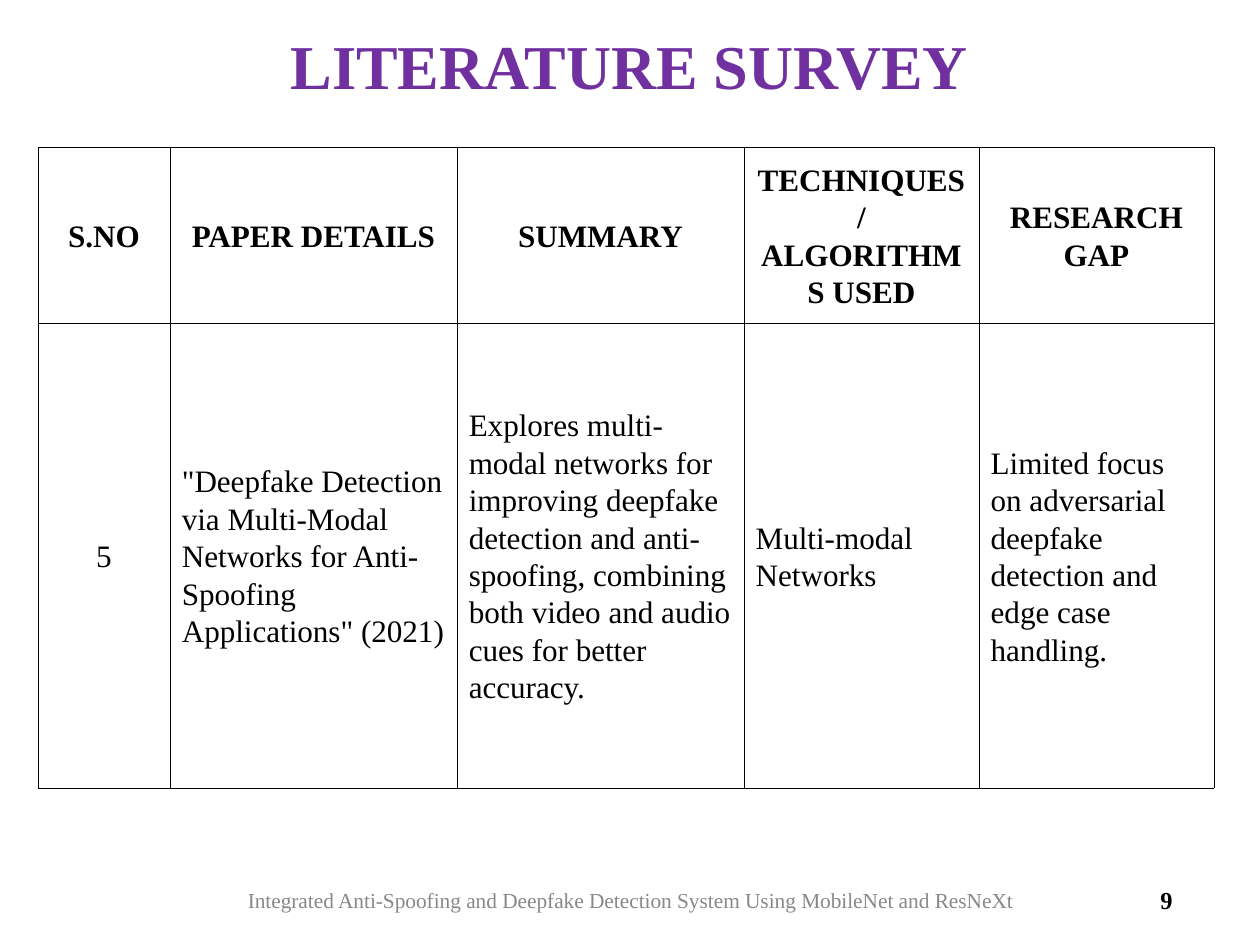
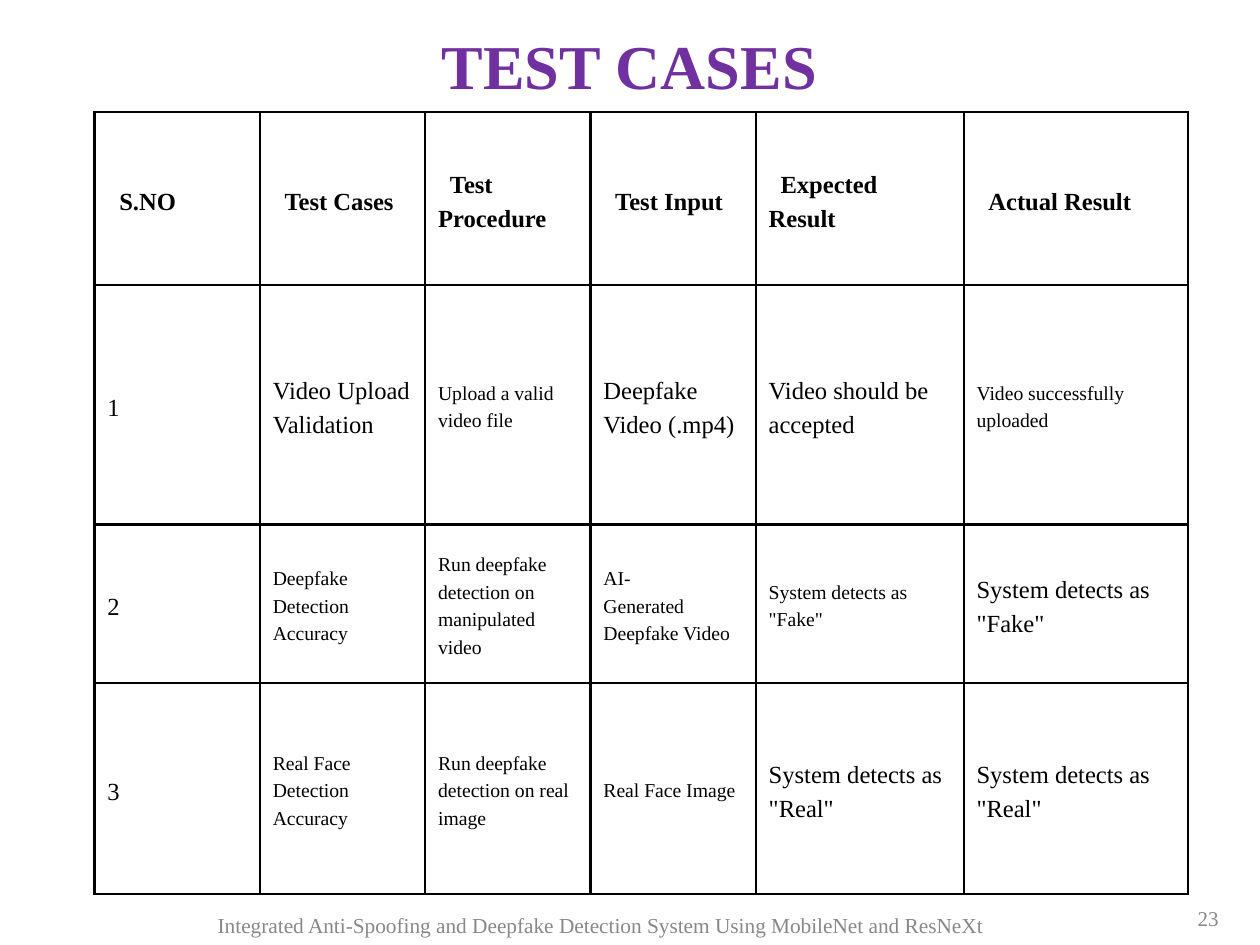
from lxml import etree
from pptx import Presentation
from pptx.dml.color import RGBColor
from pptx.enum.text import MSO_ANCHOR as ANCHOR, PP_ALIGN as ALIGN
from pptx.oxml.ns import qn
from pptx.util import Inches, Pt

COLORS = {"title": "7030A0", "text": "000000", "muted": "888888"}
FONT = "Times New Roman"
TITLE_BOX = (0.73, 0.16, 9.2, 0.83)
FOOTER = ("Integrated Anti-Spoofing and Deepfake Detection System "
          "Using MobileNet and ResNeXt")

SURVEY_HEADERS = ["S.NO", "PAPER DETAILS", "SUMMARY",
                  "TECHNIQUES/ALGORITHMS USED", "RESEARCH GAP"]
SURVEY_PAPER = [
    "5",
    '"Deepfake Detection via Multi-Modal Networks for Anti-Spoofing '
    'Applications" (2021)',
    "Explores multi-modal networks for improving deepfake detection and "
    "anti-spoofing, combining both video and audio cues for better accuracy.",
    "Multi-modal Networks",
    "Limited focus on adversarial deepfake detection and edge case handling.",
]

TEST_HEADERS = ["S.NO", "Test Cases", "Test Procedure", "Test Input",
                "Expected Result", "Actual Result"]
LARGE, SMALL = 15, 12
TEST_ROWS = [
    [("1", LARGE), ("Video Upload Validation", LARGE),
     ("Upload a valid video file", SMALL), ("Deepfake Video (.mp4)", LARGE),
     ("Video should be accepted", LARGE),
     ("Video successfully uploaded", SMALL)],
    [("2", LARGE), ("Deepfake Detection Accuracy", SMALL),
     ("Run deepfake detection on manipulated video", SMALL),
     ("AI-\nGenerated Deepfake Video", SMALL),
     ('System detects as "Fake"', SMALL),
     ('System detects as "Fake"', LARGE)],
    [("3", LARGE), ("Real Face Detection Accuracy", SMALL),
     ("Run deepfake detection on real image", SMALL),
     ("Real Face Image", SMALL), ('System detects as "Real"', LARGE),
     ('System detects as "Real"', LARGE)],
]


def write(tf, text, size, color="text", bold=False, align=ALIGN.LEFT,
          spacing=1.2, indent=0):
    """Fill a text frame, one paragraph per line; spacing is a multiple of size."""
    tf.word_wrap = True
    for i, line in enumerate(text.split("\n")):
        p = tf.add_paragraph() if i else tf.paragraphs[0]
        p.alignment = align
        p.line_spacing = Pt(round(size * spacing, 1))
        if indent:
            p._p.get_or_add_pPr().set("indent", str(Inches(indent)))
        r = p.add_run()
        r.text = line
        r.font.name = FONT
        r.font.size = Pt(size)
        r.font.bold = bold
        r.font.color.rgb = RGBColor.from_string(COLORS[color])


def add_text(s, box, text, size, **fmt):
    tf = s.shapes.add_textbox(*map(Inches, box)).text_frame
    tf.margin_left = tf.margin_right = tf.margin_top = tf.margin_bottom = 0
    tf.vertical_anchor = ANCHOR.MIDDLE
    write(tf, text, size, **fmt)


def set_borders(cell, width):
    tc_pr = cell._tc.get_or_add_tcPr()
    for i, side in enumerate(("lnL", "lnR", "lnT", "lnB")):
        ln = etree.Element(qn(f"a:{side}"), w=str(Pt(width)))
        fill = etree.SubElement(ln, qn("a:solidFill"))
        etree.SubElement(fill, qn("a:srgbClr"), val=COLORS["text"])
        tc_pr.insert(i, ln)


def add_grid(s, left, top, cols, rows, margin, border):
    """Add an unfilled, ruled table and return it."""
    frame = s.shapes.add_table(len(rows), len(cols), Inches(left), Inches(top),
                               Inches(sum(cols)), Inches(sum(rows)))
    table = frame.table
    table.first_row = table.horz_banding = False
    for col, width in zip(table.columns, cols):
        col.width = Inches(width)
    for row, height in zip(table.rows, rows):
        row.height = Inches(height)
    for cell in table.iter_cells():
        cell.fill.background()
        cell.vertical_anchor = ANCHOR.MIDDLE
        cell.margin_left = cell.margin_right = Inches(margin)
        cell.margin_top = cell.margin_bottom = Inches(margin)
        set_borders(cell, border)
    return table


def add_slide(prs, title, footer_box):
    s = prs.slides.add_slide(prs.slide_layouts[6])
    add_text(s, TITLE_BOX, title, 38, color="title", bold=True,
             align=ALIGN.CENTER, spacing=1.08)
    add_text(s, footer_box, FOOTER, 13, color="muted", align=ALIGN.CENTER)
    return s


def survey_slide(prs):
    s = add_slide(prs, "LITERATURE SURVEY", (1.35, 7.39, 7.97, 0.45))
    add_text(s, (7.53, 7.39, 2.4, 0.45), "9", 14.9, bold=True,
             align=ALIGN.RIGHT)
    table = add_grid(s, 0.32, 1.25, [1.12, 2.43, 2.43, 1.99, 1.99],
                     [1.49, 3.93], margin=0.1, border=0.37)
    for c, (header, entry) in enumerate(zip(SURVEY_HEADERS, SURVEY_PAPER)):
        write(table.cell(0, c).text_frame, header, 19, bold=True,
              align=ALIGN.CENTER)
        write(table.cell(1, c).text_frame, entry, 19,
              align=ALIGN.LEFT if c else ALIGN.CENTER)


def test_cases_slide(prs):
    s = add_slide(prs, "TEST CASES", (1.04, 7.41, 8.08, 0.84))
    add_text(s, (7.92, 7.55, 2.4, 0.45), "23", 12.8, color="muted",
             align=ALIGN.RIGHT)
    table = add_grid(s, 0.8, 0.95, [1.4] * 4 + [1.76, 1.9],
                     [1.46, 2.03, 1.34, 1.79], margin=0.11, border=1.5)
    for c, header in enumerate(TEST_HEADERS):
        write(table.cell(0, c).text_frame, header, LARGE, bold=True,
              spacing=1.4, indent=0.1)
    for r, row in enumerate(TEST_ROWS, 1):
        for c, (text, size) in enumerate(row):
            write(table.cell(r, c).text_frame, text, size, spacing=1.4)


def main():
    prs = Presentation()
    prs.slide_width, prs.slide_height = Inches(10.67), Inches(8)
    survey_slide(prs)
    test_cases_slide(prs)
    prs.save("out.pptx")


if __name__ == "__main__":
    main()
